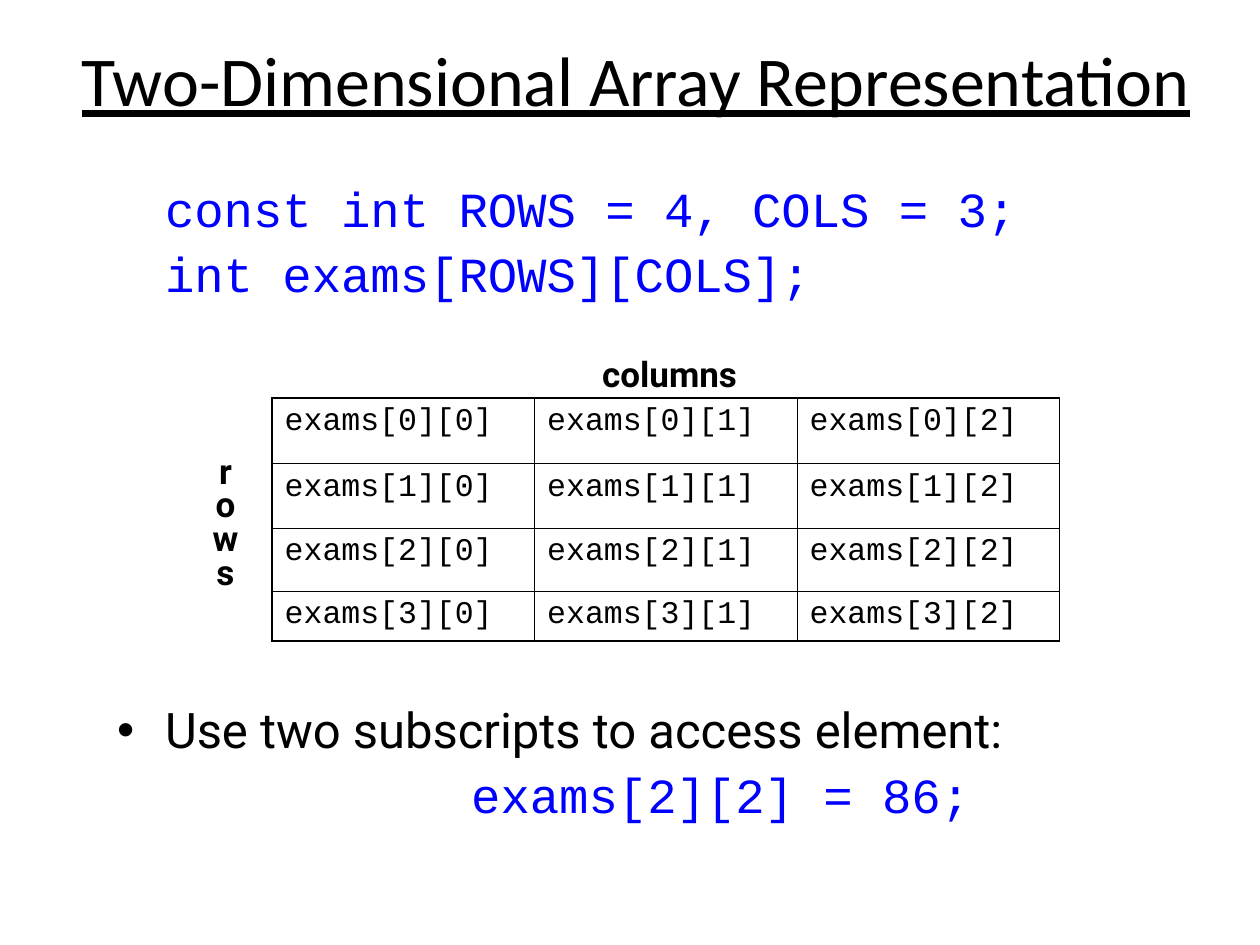
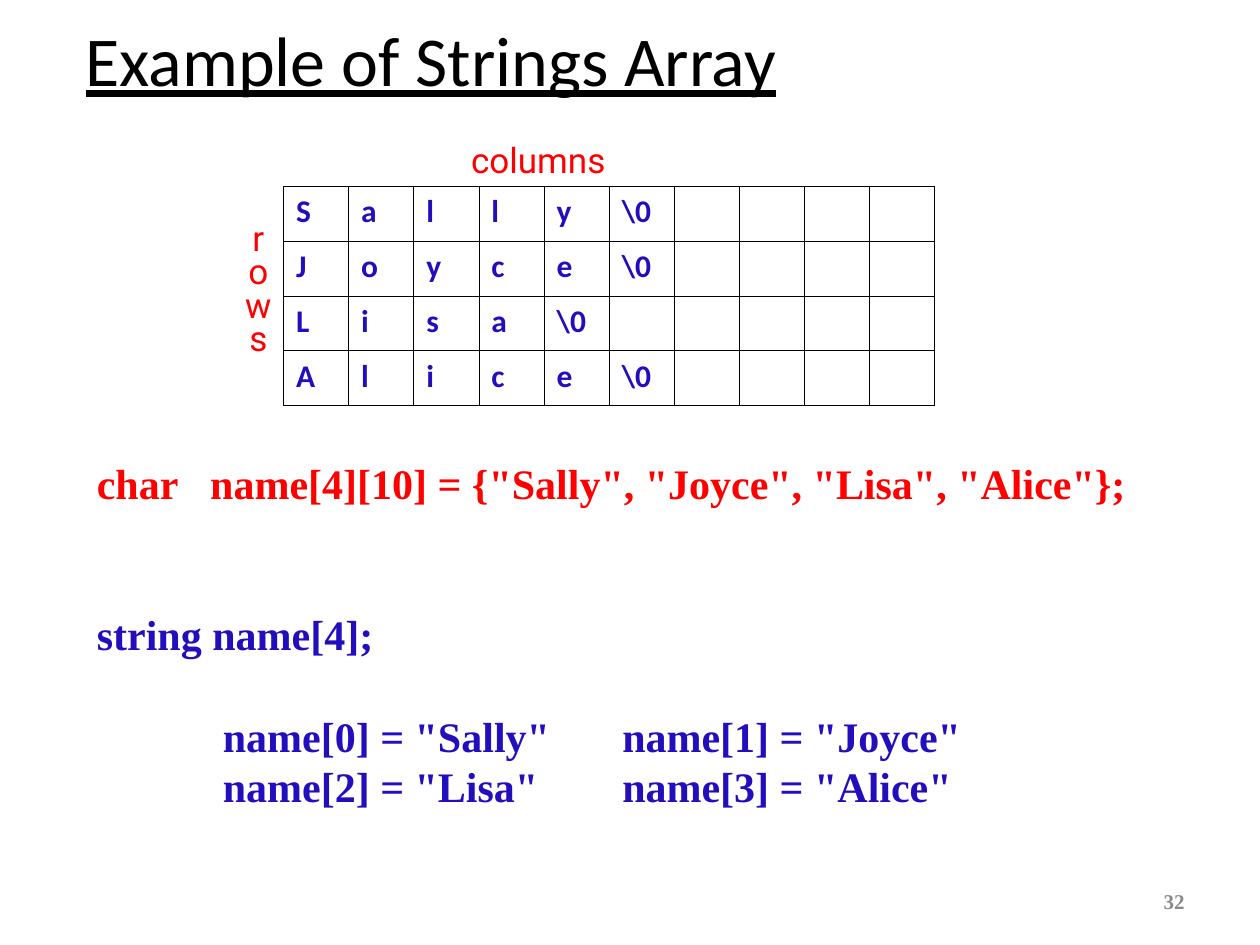
from lxml.etree import SubElement
from pptx import Presentation
from pptx.dml.color import RGBColor
from pptx.enum.text import MSO_ANCHOR, MSO_AUTO_SIZE, PP_ALIGN
from pptx.oxml.ns import qn
from pptx.util import Inches, Pt

BLACK = RGBColor(0, 0, 0)
BLUE = RGBColor(0, 0, 255)
INDIGO = RGBColor(0x23, 0x0E, 0xBE)
RED = RGBColor(255, 0, 0)
GRAY = RGBColor(0x89, 0x89, 0x89)

HEAD = {"size": Pt(40), "name": "Calibri", "color": BLACK, "underline": True}
CODE = {"size": Pt(28), "name": "Courier New", "color": BLUE}
LIST = {"size": Pt(28), "name": "Roboto", "color": BLACK}
CELL = {"size": Pt(18), "name": "Courier New", "color": BLACK}
CHAR = {"size": Pt(18), "name": "Calibri", "color": INDIGO, "bold": True}
AXIS = {"size": Pt(20), "name": "Roboto", "color": BLACK, "bold": True}
AXIS_RED = {"size": Pt(20), "name": "Roboto", "color": RED}
DECL = {"size": Pt(24), "name": "Times New Roman", "color": RED, "bold": True}
NAMES = {**DECL, "color": INDIGO}
PAGE = {**DECL, "size": Pt(12), "color": GRAY}

NAME_LIST = ["Sally", "Joyce", "Lisa", "Alice"]
THIN, THICK = 0.45, 1.08


def style(font, look):
    for key, value in look.items():
        if key == "color":
            font.color.rgb = value
        else:
            setattr(font, key, value)


def write(para, text, look, **form):
    run = para.add_run()
    run.text = text
    style(run.font, look)
    for key, value in form.items():
        setattr(para, key, value)


def indent(para, left, hang=0, mark=None):
    props = para._p.get_or_add_pPr()
    props.set("marL", str(Inches(left)))
    props.set("indent", str(Inches(-hang)))
    if mark:
        SubElement(props, qn("a:buFont"), typeface="Arial")
        SubElement(props, qn("a:buChar"), char=mark)
    else:
        SubElement(props, qn("a:buNone"))


def set_tabs(para, stops):
    tabs = SubElement(para._p.get_or_add_pPr(), qn("a:tabLst"))
    for stop in stops:
        SubElement(tabs, qn("a:tab"), pos=str(Inches(stop)), algn="l")


def place(shape, box):
    for key, value in zip(("left", "top", "width", "height"), box):
        setattr(shape, key, Inches(value))


def add_box(slide, box, wrap=True):
    frame = slide.shapes.add_textbox(*map(Inches, box)).text_frame
    frame.word_wrap = wrap
    return frame


def add_lines(frame, count):
    return [frame.paragraphs[0]] + [frame.add_paragraph() for _ in range(count - 1)]


def add_title(slide, box, text, align, anchor):
    title = slide.shapes.title
    place(title, box)
    frame = title.text_frame
    frame.auto_size = MSO_AUTO_SIZE.NONE
    frame.vertical_anchor = anchor
    write(frame.paragraphs[0], text, HEAD, alignment=align)


def add_axes(slide, top, side, look):
    write(add_box(slide, top, False).paragraphs[0], "columns", look)
    lines = add_lines(add_box(slide, side, False), 4)
    for para, char in zip(lines, "rows"):
        write(para, char, look, alignment=PP_ALIGN.CENTER, line_spacing=0.8)


def add_edges(cell, widths):
    props = cell._tc.get_or_add_tcPr()
    for tag, width in zip(("lnL", "lnR", "lnT", "lnB"), widths):
        line = SubElement(props, qn("a:" + tag), w=str(Pt(width)))
        fill = SubElement(line, qn("a:solidFill"))
        SubElement(fill, qn("a:srgbClr"), val=str(BLACK))


def add_grid(slide, box, rows, heights, look, rim):
    count, width = len(rows), len(rows[0])
    table = slide.shapes.add_table(count, width, *map(Inches, box)).table
    table.first_row = table.horz_banding = False
    for col in table.columns:
        col.width = Inches(box[2] / width)
    for r, (row, height) in enumerate(zip(rows, heights)):
        table.rows[r].height = Inches(height)
        for c, text in enumerate(row):
            cell = table.cell(r, c)
            if text:
                write(cell.text_frame.paragraphs[0], text, look)
            outer = (c == 0, c == width - 1, r == 0, r == count - 1)
            add_edges(cell, [rim if edge else THIN for edge in outer])
            cell.fill.background()


def add_body(slide, box):
    body = slide.placeholders[1]
    place(body, box)
    frame = body.text_frame
    frame.auto_size = MSO_AUTO_SIZE.NONE
    frame.margin_top = Inches(0.47)
    items = [
        ("const int ROWS = 4, COLS = 3;", CODE, 0, (0.38,)),
        ("int exams[ROWS][COLS];", CODE, 7, (0.38,)),
        ("Use two subscripts to access element:", LIST, 230, (0.38, 0.38, "•")),
        ("exams[2][2] = 86;", CODE, 7, (2.81,)),
    ]
    for para, (text, look, gap, place_at) in zip(add_lines(frame, len(items)), items):
        write(para, text, look, line_spacing=0.9, space_before=Pt(gap))
        indent(para, *place_at)


def add_code(slide, box):
    quoted = [f'"{name}"' for name in NAME_LIST]
    pairs = [f"name[{i}] = {name}" for i, name in enumerate(quoted)]
    items = [
        ("char\tname[4][10] = {" + ", ".join(quoted) + "};", DECL, 0, [0.9]),
        ("string name[4];", NAMES, 57.5, []),
        ("\t" + "\t".join(pairs[:2]), NAMES, 29.5, [1, 4.17]),
        ("\t" + "\t".join(pairs[2:]), NAMES, 0, [1, 4.17]),
    ]
    frame = add_box(slide, box)
    frame.margin_top = Inches(0.45)
    for para, (text, look, gap, stops) in zip(add_lines(frame, len(items)), items):
        write(para, text, look, space_before=Pt(gap))
        set_tabs(para, stops)


def add_page(slide, box, text):
    frame = add_box(slide, box)
    frame.vertical_anchor = MSO_ANCHOR.MIDDLE
    write(frame.paragraphs[0], text, PAGE, alignment=PP_ALIGN.RIGHT)


def array_slide(deck):
    slide = deck.slides.add_slide(deck.slide_layouts[1])
    add_title(slide, (0.42, 0, 9.25, 1.25), "Two-Dimensional Array Representation",
              PP_ALIGN.CENTER, MSO_ANCHOR.MIDDLE)
    add_body(slide, (0.83, 1, 8.5, 5.92))
    rows = [[f"exams[{r}][{c}]" for c in range(3)] for r in range(4)]
    add_grid(slide, (2.16, 3.16, 6.25, 1.92), rows, (0.52, 0.51, 0.5, 0.4), CELL, THICK)
    add_axes(slide, (4.68, 2.75, 1.38, 0.44), (1.57, 3.58, 0.44, 1.17), AXIS)


def string_slide(deck):
    slide = deck.slides.add_slide(deck.slide_layouts[5])
    add_page(slide, (7.17, 6.95, 2.33, 0.4), "32")
    add_code(slide, (0.67, 3.18, 8.58, 3.7))
    add_title(slide, (0.58, 0.08, 8.5, 1.25), "Example of Strings Array",
              PP_ALIGN.LEFT, MSO_ANCHOR.TOP)
    rows = [(list(name) + ["\\0"] + [""] * 10)[:10] for name in NAME_LIST]
    height = 1.74
    add_grid(slide, (2.25, 1.48, 5.17, height), rows, [height / 4] * 4, CHAR, THIN)
    add_axes(slide, (3.64, 1.05, 1.31, 0.44), (1.84, 1.73, 0.42, 1.17), AXIS_RED)


def main():
    deck = Presentation()
    deck.slide_width, deck.slide_height = Inches(10), Inches(7.5)
    array_slide(deck)
    string_slide(deck)
    deck.save("out.pptx")


if __name__ == "__main__":
    main()
